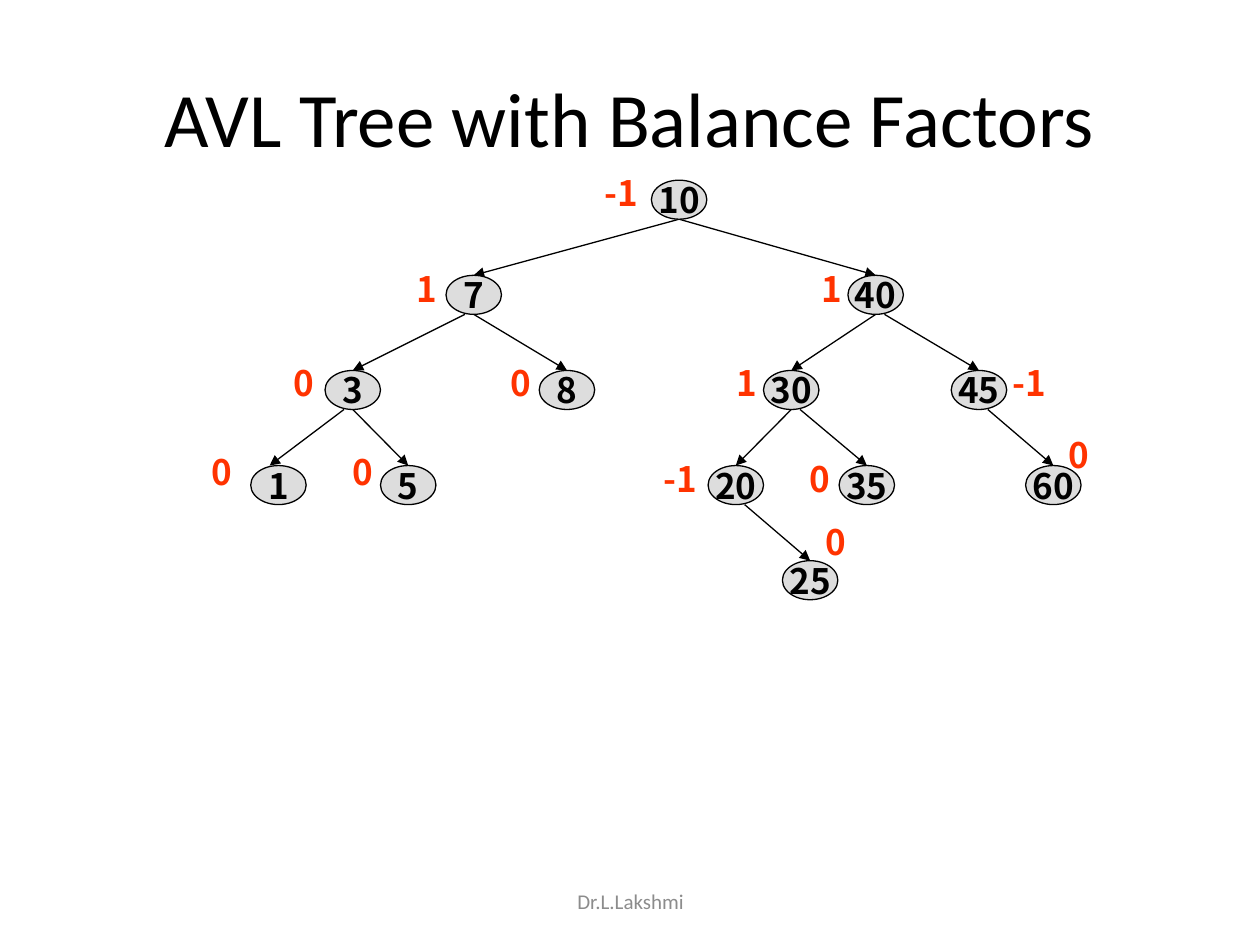
from lxml import etree
from pptx import Presentation
from pptx.dml.color import RGBColor
from pptx.enum.shapes import MSO_CONNECTOR, MSO_SHAPE
from pptx.enum.text import MSO_ANCHOR, MSO_AUTO_SIZE, PP_ALIGN
from pptx.oxml.ns import qn
from pptx.util import Inches, Pt

STRAIGHT = MSO_CONNECTOR.STRAIGHT
OVAL = MSO_SHAPE.OVAL
MIDDLE = MSO_ANCHOR.MIDDLE
GROW = MSO_AUTO_SIZE.SHAPE_TO_FIT_TEXT
CENTER = PP_ALIGN.CENTER

TREE_FONT = "Noto Sans CJK KR"
NODE_W, NODE_H = 0.44, 0.31
TOP, LEVEL_GAP = 1.43, 0.755
SHIFT = 0.07

# key: (left, level, balance factor, factor left, factor top)
NODES = {
    "10": (5.17, 0, "-1", 4.7, 1.31),
    "7": (3.54, 1, "1", 3.21, 2.07),
    "3": (2.58, 2, "0", 2.23, 2.82),
    "1": (1.99, 3, "0", 1.58, 3.53),
    "5": (3.02, 3, "0", 2.7, 3.53),
    "8": (4.28, 2, "0", 3.95, 2.82),
    "40": (6.73, 1, "1", 6.42, 2.07),
    "30": (6.06, 2, "1", 5.75, 2.82),
    "20": (5.62, 3, "-1", 5.17, 3.58),
    "35": (6.66, 3, "0", 6.33, 3.58),
    "45": (7.55, 2, "-1", 7.94, 2.82),
    "60": (8.14, 3, "0", 8.38, 3.39),
    "25": (6.21, 4, "0", 6.45, 4.08),
}

# parent, child, start shift, end shift
EDGES = [
    ("10", "7", 0, 0),
    ("10", "40", 0, 0),
    ("7", "3", -SHIFT, 0),
    ("7", "8", 0, 0),
    ("40", "30", 0, 0),
    ("40", "45", SHIFT, 0),
    ("3", "1", -SHIFT, -SHIFT),
    ("3", "5", 0, 0),
    ("30", "20", 0, 0),
    ("30", "35", SHIFT, 0),
    ("45", "60", SHIFT, 0),
    ("20", "25", SHIFT, 0),
]


def rgb(color):
    """Return the colour for a hex string."""
    return RGBColor.from_string(color)


def set_text(sp, text, size, font, color, bold=False, align=None):
    """Write one formatted paragraph into a shape."""
    tf = sp.text_frame
    tf.text = text
    p = tf.paragraphs[0]
    if align is not None:
        p.alignment = align
    r = p.runs[0]
    r.font.size = Pt(size)
    r.font.name = font
    r.font.bold = bold
    r.font.color.rgb = rgb(color)


def node_top(level):
    """Return the top of a tree level."""
    return TOP + level * LEVEL_GAP


def add_factor(shapes, text, left, top):
    """Add a balance factor label."""
    width = 0.53 if len(text) > 1 else 0.36
    sp = shapes.add_textbox(Inches(left), Inches(top), Inches(width), Inches(0.43))
    set_text(sp, text, 20, TREE_FONT, "FF3300", bold=True)
    sp.text_frame.word_wrap = False
    sp.text_frame.auto_size = GROW


def add_edge(shapes, parent, child, start_shift, end_shift):
    """Add an arrow from a parent node to a child node."""
    x1, level1 = NODES[parent][:2]
    x2, level2 = NODES[child][:2]
    s = shapes.add_connector(
        STRAIGHT,
        Inches(x1 + NODE_W / 2 + start_shift),
        Inches(node_top(level1) + NODE_H),
        Inches(x2 + NODE_W / 2 + end_shift),
        Inches(node_top(level2)),
    )
    s.line.color.rgb = rgb("000000")
    s.line.width = Pt(0.75)
    ln = s.line._get_or_add_ln()
    etree.SubElement(ln, qn("a:tailEnd"), type="triangle")
    etree.SubElement(ln.getparent(), qn("a:effectLst"))


def add_node(shapes, key, left, level):
    """Add an oval tree node."""
    sp = shapes.add_shape(OVAL, Inches(left), Inches(node_top(level)),
                          Inches(NODE_W), Inches(NODE_H))
    sp.shadow.inherit = False
    sp.fill.solid()
    sp.fill.fore_color.rgb = rgb("DDDDDD")
    sp.line.color.rgb = rgb("000000")
    sp.line.width = Pt(0.75)
    set_text(sp, key, 20, TREE_FONT, "000000", bold=True, align=CENTER)
    sp.text_frame.word_wrap = False
    sp.text_frame.vertical_anchor = MIDDLE


def add_title(s, text):
    """Fill and place the title placeholder."""
    sp = s.shapes.title
    sp.left, sp.top = Inches(0.5), Inches(0.3)
    sp.width, sp.height = Inches(9), Inches(1.25)
    set_text(sp, text, 44, "Calibri", "000000", align=CENTER)
    sp.text_frame.vertical_anchor = MIDDLE


def add_footer(s, text):
    """Add the centred footer text."""
    sp = s.shapes.add_textbox(Inches(3.42), Inches(6.95), Inches(3.17), Inches(0.4))
    set_text(sp, text, 12, "Calibri", "8C8C8C", align=CENTER)
    sp.text_frame.word_wrap = True
    sp.text_frame.vertical_anchor = MIDDLE


def main():
    """Build the slide and save it."""
    prs = Presentation()
    prs.slide_width, prs.slide_height = Inches(10), Inches(7.5)
    s = prs.slides.add_slide(prs.slide_layouts[5])
    add_title(s, "AVL Tree with Balance Factors")
    factors = s.shapes.add_group_shape().shapes
    for _, _, factor, left, top in NODES.values():
        add_factor(factors, factor, left, top)
    tree = s.shapes.add_group_shape().shapes
    for edge in EDGES:
        add_edge(tree, *edge)
    for key, (left, level, *_) in NODES.items():
        add_node(tree, key, left, level)
    add_footer(s, "Dr.L.Lakshmi")
    prs.save("out.pptx")


if __name__ == "__main__":
    main()
